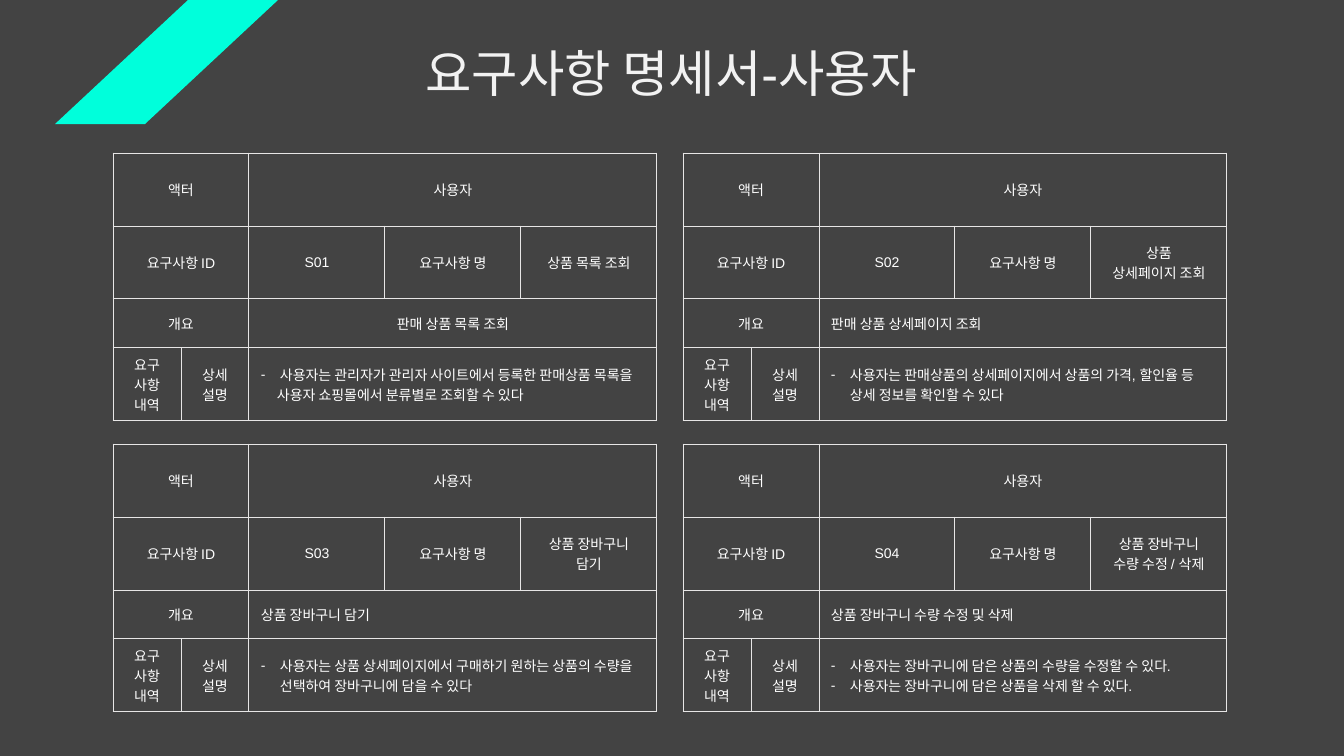
from dataclasses import dataclass

from lxml.etree import SubElement
from pptx import Presentation
from pptx.dml.color import RGBColor
from pptx.enum.text import MSO_ANCHOR, MSO_AUTO_SIZE, PP_ALIGN
from pptx.oxml import parse_xml
from pptx.oxml.ns import nsdecls, qn
from pptx.util import Pt

SCALE = 914400 / 100.8  # EMU in one px
DARK = RGBColor(0x43, 0x43, 0x43)
BORDER = RGBColor(0xE7, 0xE6, 0xE6)
WHITE = RGBColor(0xFF, 0xFF, 0xFF)
TITLE_COLOR = RGBColor(0xF2, 0xF2, 0xF2)
AQUA = RGBColor(0x00, 0xFF, 0xDB)
FONT = "Arial"

COLUMNS = (68, 68, 136, 136, 136)
ROWS = (73, 73, 49, 73)
GRID_LEFT, GRID_TOP = 113, 153
STEP_X, STEP_Y = 570, 291
BULLET_INDENT, PLAIN_INDENT = 19, 16


@dataclass
class Requirement:
    code: str
    name: str
    summary: str
    details: list  # (text, has a dash bullet)
    summary_align: PP_ALIGN = PP_ALIGN.LEFT


REQUIREMENTS = [
    Requirement("S01", "상품 목록 조회", "판매 상품 목록 조회",
                [("사용자는 관리자가 관리자 사이트에서 등록한 판매상품 목록을", True),
                 ("사용자 쇼핑몰에서 분류별로 조회할 수 있다", False)],
                PP_ALIGN.CENTER),
    Requirement("S02", "상품\n상세페이지 조회", "판매 상품 상세페이지 조회",
                [("사용자는 판매상품의 상세페이지에서 상품의 가격, 할인율 등 "
                  "상세 정보를 확인할 수 있다", True)]),
    Requirement("S03", "상품 장바구니\n담기", "상품 장바구니 담기",
                [("사용자는 상품 상세페이지에서 구매하기 원하는 상품의 수량을 "
                  "선택하여 장바구니에 담을 수 있다", True)]),
    Requirement("S04", "상품 장바구니\n수량 수정 / 삭제", "상품 장바구니 수량 수정 및 삭제",
                [("사용자는 장바구니에 담은 상품의 수량을 수정할 수 있다.", True),
                 ("사용자는 장바구니에 담은 상품을 삭제 할 수 있다.", True)]),
]


def px(length):
    return round(length * SCALE)


def format_para(para, size, color, align):
    para.alignment = align
    for span in para.runs:
        span.font.size = Pt(size)
        span.font.name = FONT
        span.font.color.rgb = color


def style_cell(cell):
    cell.fill.solid()
    cell.fill.fore_color.rgb = DARK
    cell.vertical_anchor = MSO_ANCHOR.MIDDLE
    cell.margin_left = cell.margin_right = px(12)
    cell.margin_top = cell.margin_bottom = px(5)
    # Borders come before the fill
    properties = cell._tc.get_or_add_tcPr()
    for index, side in enumerate(("lnL", "lnR", "lnT", "lnB")):
        properties.insert(index, parse_xml(
            f'<a:{side} {nsdecls("a")} w="{Pt(0.75)}"><a:solidFill>'
            f'<a:srgbClr val="{BORDER}"/></a:solidFill></a:{side}>'))


def write_cell(cell, text, align=PP_ALIGN.CENTER):
    cell.text_frame.text = text
    for para in cell.text_frame.paragraphs:
        format_para(para, 10, WHITE, align)


def indent_para(para, bulleted):
    properties = para._p.get_or_add_pPr()
    if not bulleted:
        properties.set("marL", str(px(PLAIN_INDENT)))
        return
    properties.set("marL", str(px(BULLET_INDENT)))
    properties.set("indent", str(-px(BULLET_INDENT)))
    bullet_color = SubElement(properties, qn("a:buClr"))
    SubElement(bullet_color, qn("a:srgbClr"), val=str(WHITE))
    SubElement(properties, qn("a:buFont"), typeface=FONT)
    SubElement(properties, qn("a:buChar"), char="-")


def add_requirement_table(page, left, top, requirement):
    table = page.shapes.add_table(len(ROWS), len(COLUMNS), px(left), px(top),
                                  px(sum(COLUMNS)), px(sum(ROWS))).table
    table.first_row = table.horz_banding = False
    for column, width in zip(table.columns, COLUMNS):
        column.width = px(width)
    for row, height in zip(table.rows, ROWS):
        row.height = px(height)
    for cell in table.iter_cells():
        style_cell(cell)

    # Label cells span two columns, wide values span three
    for row in range(3):
        table.cell(row, 0).merge(table.cell(row, 1))
    for row in (0, 2, 3):
        table.cell(row, 2).merge(table.cell(row, 4))

    texts = {
        (0, 0): "액터", (0, 2): "사용자",
        (1, 0): "요구사항 ID", (1, 2): requirement.code,
        (1, 3): "요구사항 명", (1, 4): requirement.name,
        (2, 0): "개요",
        (3, 0): "요구 사항 내역", (3, 1): "상세 설명",
    }
    for (row, column), text in texts.items():
        write_cell(table.cell(row, column), text)
    write_cell(table.cell(2, 2), requirement.summary, requirement.summary_align)

    # Detailed description
    detail_cell = table.cell(3, 2)
    write_cell(detail_cell, "\n".join(text for text, _ in requirement.details),
               PP_ALIGN.LEFT)
    for para, (_, bulleted) in zip(detail_cell.text_frame.paragraphs,
                                   requirement.details):
        indent_para(para, bulleted)


def add_corner_stripe(page, left, top, width, height, band):
    right, bottom = left + width, top + height
    outline = page.shapes.build_freeform(px(right), px(top))
    outline.add_line_segments([(px(right - band), px(top)),
                               (px(left), px(bottom)),
                               (px(left + band), px(bottom))], close=True)
    stripe = outline.convert_to_shape()
    stripe.shadow.inherit = False
    stripe.fill.solid()
    stripe.fill.fore_color.rgb = AQUA
    stripe.line.fill.background()


def add_title(page, left, top, width, height):
    box = page.shapes.add_textbox(px(left), px(top), px(width), px(height))
    frame = box.text_frame
    frame.word_wrap = True
    frame.auto_size = MSO_AUTO_SIZE.SHAPE_TO_FIT_TEXT
    frame.text = "요구사항 명세서-사용자"
    format_para(frame.paragraphs[0], 36, TITLE_COLOR, PP_ALIGN.CENTER)


def main():
    deck = Presentation()
    deck.slide_width, deck.slide_height = px(1344), px(756)
    page = deck.slides.add_slide(deck.slide_layouts[6])
    page.background.fill.solid()
    page.background.fill.fore_color.rgb = DARK

    # Two by two grid of requirements
    for index, requirement in enumerate(REQUIREMENTS):
        row, column = divmod(index, 2)
        add_requirement_table(page, GRID_LEFT + column * STEP_X,
                              GRID_TOP + row * STEP_Y, requirement)

    # Heading
    add_corner_stripe(page, 55, 0, 223, 124, 90)
    add_title(page, 116, 37, 1111, 71)
    deck.save("out.pptx")


if __name__ == "__main__":
    main()
